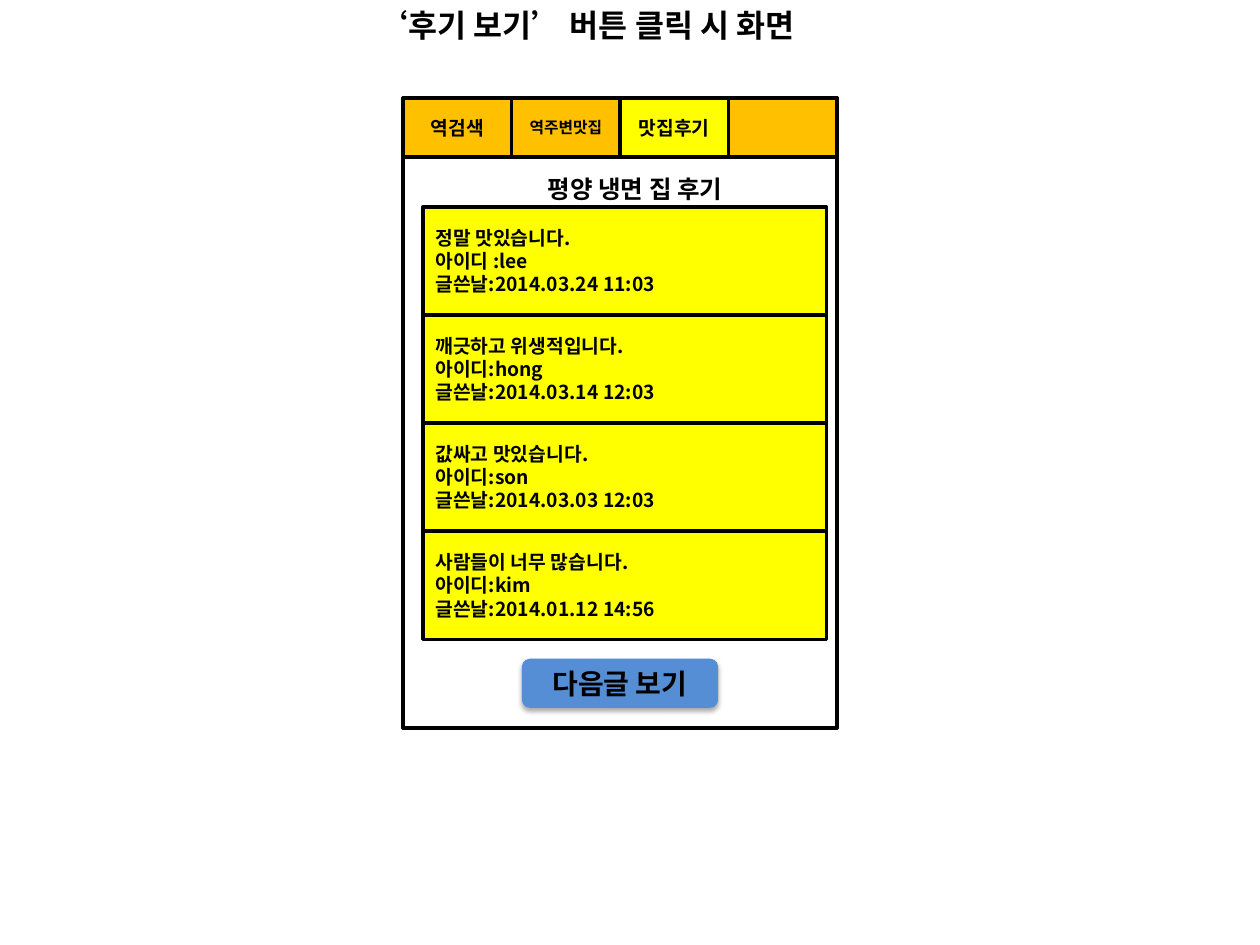
from dataclasses import dataclass

from lxml import etree
from pptx import Presentation
from pptx import util as u
from pptx.dml.color import RGBColor as Rgb
from pptx.enum import shapes, text
from pptx.oxml import ns


@dataclass
class Theme:
    font: str = "Noto Sans CJK KR"
    ink: str = "000000"
    tab: str = "FFC000"
    lit: str = "FFFF00"
    button: str = "558ED5"
    title: int = 18
    next: int = 16
    head: int = 14
    body: int = 11
    small: int = 9
    edge: int = 2


theme = Theme()
kinds = shapes.MSO_SHAPE


def write(shape, words, size=theme.body, align=text.PP_ALIGN.LEFT,
          anchor=text.MSO_ANCHOR.MIDDLE, wrap=True):
    frame = shape.text_frame
    frame.text = words
    frame.auto_size = text.MSO_AUTO_SIZE.NONE
    frame.word_wrap = wrap
    frame.vertical_anchor = anchor
    for para in frame.paragraphs:
        para.alignment = align
        for run in para.runs:
            font = run.font
            font.name, font.size, font.bold = theme.font, u.Pt(size), True
            font.color.rgb = Rgb.from_string(theme.ink)
            face = etree.SubElement(run._r.get_or_add_rPr(), ns.qn("a:ea"))
            face.set("typeface", theme.font)


def box(left, top, width, height, fill=None, edge=True, kind=kinds.RECTANGLE):
    shape = slide.shapes.add_shape(
        kind, u.Cm(left), u.Cm(top), u.Cm(width), u.Cm(height))
    shape.shadow.inherit = False
    if fill:
        shape.fill.solid()
        shape.fill.fore_color.rgb = Rgb.from_string(fill)
    else:
        shape.fill.background()
    if edge:
        shape.line.color.rgb = Rgb.from_string(theme.ink)
        shape.line.width = u.Pt(theme.edge)
    else:
        shape.line.fill.background()
    return shape


deck = Presentation()
deck.slide_width, deck.slide_height = u.Cm(25.4), u.Cm(19.05)
slide = deck.slides.add_slide(deck.slide_layouts[5])
center = text.PP_ALIGN.CENTER
high = text.MSO_ANCHOR.TOP

title = slide.shapes.title
title.left, title.top = u.Cm(7.34), u.Cm(0)
title.width, title.height = u.Cm(9.32), u.Cm(1.02)
write(title, "‘후기 보기’ 버튼 클릭 시 화면", size=theme.title, anchor=high, wrap=False)

left, top, width = 8.13, 1.98, 8.74
box(left, top, width, 12.7)

tabs = [
    ("역검색", theme.tab, theme.body),
    ("역주변맛집", theme.tab, theme.small),
    ("맛집후기", theme.lit, theme.body),
    ("", theme.tab, theme.body),
]
step = width / len(tabs)
for i, (name, fill, size) in enumerate(tabs):
    tab = box(left + i * step, top, step, 1.19, fill)
    if name:
        write(tab, name, size=size, align=center)

reviews = [
    ("정말 맛있습니다.", "아이디 :lee", "2014.03.24 11:03"),
    ("깨긋하고 위생적입니다.", "아이디:hong", "2014.03.14 12:03"),
    ("값싸고 맛있습니다.", "아이디:son", "2014.03.03 12:03"),
    ("사람들이 너무 많습니다.", "아이디:kim", "2014.01.12 14:56"),
]
row = 2.18
for i, (note, user, date) in enumerate(reviews):
    card = box(8.53, 4.17 + i * row, 8.13, row, theme.lit)
    write(card, f"{note}\n{user}\n글쓴날:{date}")

button = box(10.52, 13.28, 3.96, 0.99, theme.button, edge=False,
             kind=kinds.ROUNDED_RECTANGLE)
write(button, "다음글 보기", size=theme.next, align=center)
effects = button._element.spPr.find(ns.qn("a:effectLst"))
shadow = etree.SubElement(
    effects, ns.qn("a:outerShdw"), blurRad=str(u.Pt(3.1)),
    dist=str(u.Pt(1.8)), dir="5400000", rotWithShape="0")
shade = etree.SubElement(shadow, ns.qn("a:srgbClr"), val=theme.ink)
etree.SubElement(shade, ns.qn("a:alpha"), val="35000")

head = slide.shapes.add_textbox(u.Cm(9.73), u.Cm(3.38), u.Cm(6.15), u.Cm(0.86))
write(head, "평양 냉면 집 후기", size=theme.head, align=center, anchor=high)

deck.save("out.pptx")
